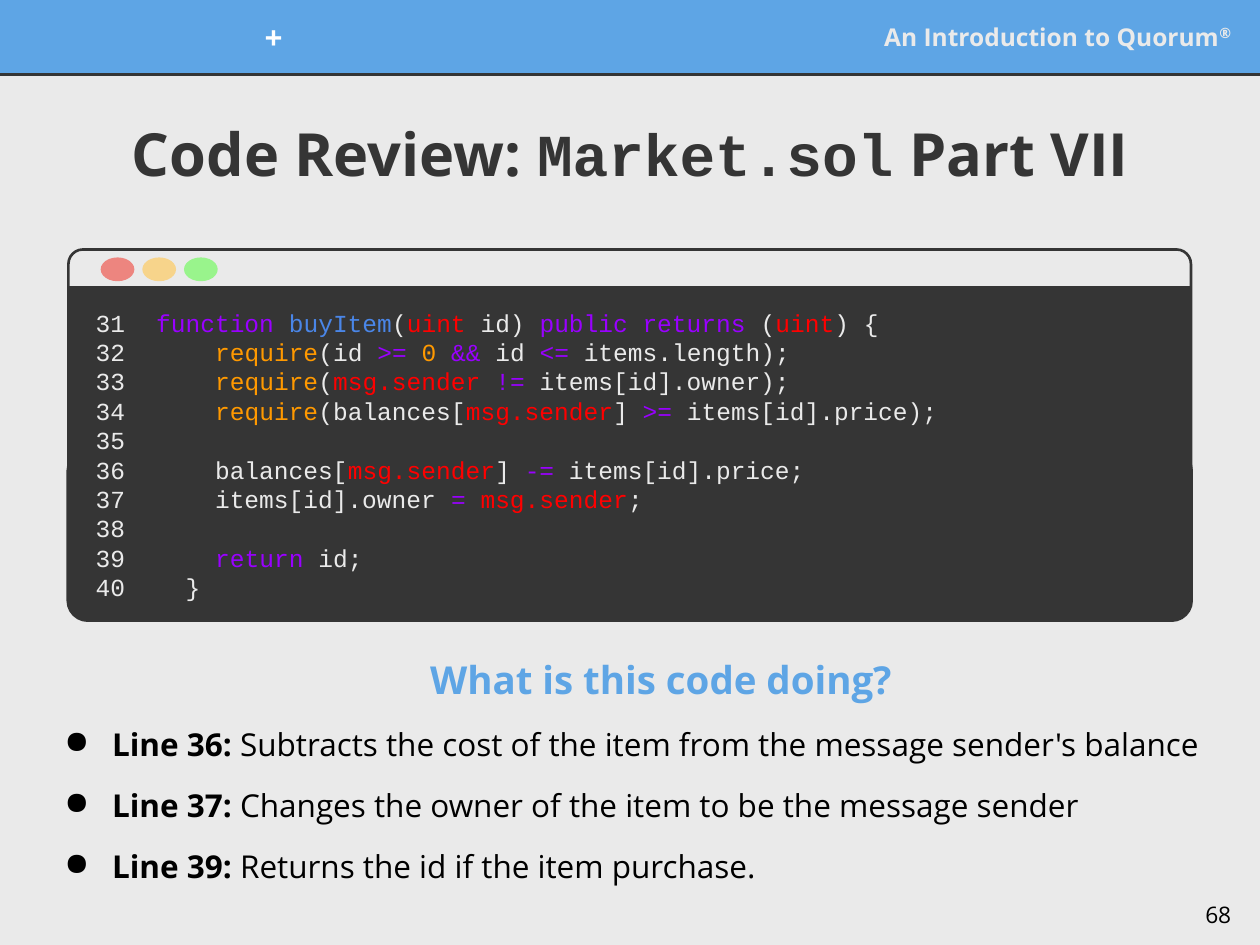
from dataclasses import dataclass

from lxml import etree
from pptx import Presentation
from pptx.dml.color import RGBColor
from pptx.enum.shapes import MSO_CONNECTOR, MSO_SHAPE
from pptx.enum.text import MSO_ANCHOR, PP_ALIGN
from pptx.oxml.ns import qn
from pptx.util import Cm, Pt

RECT, ROUNDED, OVAL = MSO_SHAPE.RECTANGLE, MSO_SHAPE.ROUNDED_RECTANGLE, MSO_SHAPE.OVAL
STRAIGHT = MSO_CONNECTOR.STRAIGHT
TOP, MIDDLE = MSO_ANCHOR.TOP, MSO_ANCHOR.MIDDLE
LEFT, CENTER, RIGHT = PP_ALIGN.LEFT, PP_ALIGN.CENTER, PP_ALIGN.RIGHT


@dataclass(frozen=True)
class Theme:
    paper: str = "EAEAEA"
    accent: str = "5EA5E5"
    dark: str = "353535"
    white: str = "FFFFFF"
    black: str = "000000"
    keyword: str = "9900FF"
    name: str = "4A86E8"
    kind: str = "FF0000"
    builtin: str = "FF9900"
    window_buttons: tuple = ("ED857F", "F7D48B", "99F48C")
    sans: str = "Open Sans"
    mono: str = "Courier New"
    title_size: int = 34
    heading_size: int = 22
    body_size: int = 18
    small_size: int = 14
    number_size: int = 13


THEME = Theme()
KEY, NAME, KIND, CALL = THEME.keyword, THEME.name, THEME.kind, THEME.builtin
FIRST_LINE = 31

# Each code line is a list of (text, colour); plain strings take the default colour
CODE = [
    [("function ", KEY), ("buyItem", NAME), "(", ("uint", KIND), " id) ",
     ("public returns", KEY), " (", ("uint", KIND), ") {"],
    ["    ", ("require", CALL), "(id ", (">= ", KEY), ("0", CALL), (" &&", KEY),
     " id ", ("<=", KEY), " items.length);"],
    ["    ", ("require", CALL), "(", ("msg.sender ", KIND), ("!=", KEY),
     " items[id].owner);"],
    ["    ", ("require", CALL), "(balances[", ("msg.sender", KIND), "] ",
     (">=", KEY), " items[id].price);"],
    [],
    ["    balances[", ("msg.sender", KIND), "] ", ("-=", KEY), " items[id].price;"],
    ["    items[id].owner ", ("= ", KEY), ("msg.sender", KIND), ";"],
    [],
    ["    ", ("return", KEY), " id;"],
    ["  }"],
]

EXPLANATIONS = [
    ("Line 36:", " Subtracts the cost of the item from the message sender's balance"),
    ("Line 37:", " Changes the owner of the item to be the message sender"),
    ("Line 39:", " Returns the id if the item purchase."),
]


class SlideBuilder:
    def __init__(self, slide, theme):
        self.slide, self.theme = slide, theme
        slide.background.fill.solid()
        slide.background.fill.fore_color.rgb = RGBColor.from_string(theme.paper)

    def shape(self, preset, box, fill=None, line=None, width=1.5, radius=None):
        item = self.slide.shapes.add_shape(preset, *map(Cm, box))
        item.shadow.inherit = False
        if radius is not None:
            item.adjustments[0] = radius
        if fill:
            item.fill.solid()
            item.fill.fore_color.rgb = RGBColor.from_string(fill)
        else:
            item.fill.background()
        if line:
            item.line.color.rgb = RGBColor.from_string(line)
            item.line.width = Pt(width)
        else:
            item.line.fill.background()

    def rule(self, start, end, colour, width):
        rule = self.slide.shapes.add_connector(STRAIGHT, *map(Cm, start + end))
        rule.line.color.rgb = RGBColor.from_string(colour)
        rule.line.width = Pt(width)
        etree.SubElement(rule._element.spPr, qn("a:effectLst"))

    def frame(self, box, anchor=TOP, inset=0.25):
        frame = self.slide.shapes.add_textbox(*map(Cm, box)).text_frame
        frame.word_wrap = True
        frame.vertical_anchor = anchor
        frame.margin_left = frame.margin_right = Cm(inset)
        frame.margin_top = frame.margin_bottom = Cm(inset)
        return frame

    def run(self, paragraph, text, size, colour, bold=False, face=None):
        run = paragraph.add_run()
        run.text = text
        run.font.name = face or self.theme.sans
        run.font.size = Pt(size)
        run.font.bold = bold
        run.font.color.rgb = RGBColor.from_string(colour)
        return run

    def label(self, box, text, size, colour, align, bold=True, anchor=MIDDLE):
        paragraph = self.frame(box, anchor).paragraphs[0]
        paragraph.alignment = align
        self.run(paragraph, text, size, colour, bold)
        return paragraph

    def code(self, box, lines):
        theme = self.theme
        frame = self.frame(box)
        for index, spans in enumerate(lines):
            paragraph = frame.add_paragraph() if index else frame.paragraphs[0]
            for span in spans:
                text, colour = (span, theme.paper) if isinstance(span, str) else span
                self.run(paragraph, text, theme.small_size, colour, face=theme.mono)
            if not spans:
                ending = etree.SubElement(paragraph._p, qn("a:endParaRPr"),
                                          sz=str(theme.small_size * 100))
                etree.SubElement(ending, qn("a:latin"), typeface=theme.mono)

    def explanation(self, box, heading, items):
        theme = self.theme
        frame = self.frame(box)
        question = frame.paragraphs[0]
        question.alignment = CENTER
        question.line_spacing = 1.15
        question._p.get_or_add_pPr().set("marL", str(Cm(1.27)))
        self.run(question, heading, theme.heading_size, theme.accent, True)
        for lead, detail in items:
            paragraph = frame.add_paragraph()
            paragraph.alignment = LEFT
            paragraph.line_spacing = 1.15
            paragraph.space_before = Pt(10)
            properties = paragraph._p.get_or_add_pPr()
            properties.set("marL", str(Cm(1.27)))
            properties.set("indent", str(Cm(-0.96)))
            bullet_colour = etree.SubElement(properties, qn("a:buClr"))
            etree.SubElement(bullet_colour, qn("a:srgbClr"), val=theme.black)
            etree.SubElement(properties, qn("a:buChar"), char="●")
            self.run(paragraph, lead, theme.body_size, theme.black, True)
            self.run(paragraph, detail, theme.body_size, theme.black)


def main():
    deck = Presentation()
    deck.slide_width, deck.slide_height = Cm(25.4), Cm(19.05)
    page = SlideBuilder(deck.slides.add_slide(deck.slide_layouts[6]), THEME)

    # Header band
    page.shape(RECT, (0, 0, 25.4, 1.5), THEME.accent, THEME.accent, 0.75)
    page.rule((0, 1.5), (25.4, 1.5), THEME.dark, 1.5)
    course = page.label((16.74, 0.25, 8.33, 0.97), "An Introduction to Quorum",
                        THEME.small_size, THEME.paper, RIGHT)
    mark = page.run(course, "®", THEME.small_size, THEME.paper, True)
    mark.font._element.set("baseline", "30000")
    page.label((5.03, 0.25, 0.97, 0.97), "+", THEME.body_size, THEME.white, CENTER)

    # Code window
    left, width = 1.38, 22.63
    page.shape(ROUNDED, (left, 5.03, width, 5.31), line=THEME.dark, radius=0.055)
    page.shape(RECT, (left, 5.77, width, 3.68), THEME.dark)
    page.shape(ROUNDED, (left, 9.1, width, 3.4), THEME.dark, THEME.dark, 2.25, 0.115)
    for index, colour in enumerate(THEME.window_buttons):
        page.shape(OVAL, (2.03 + 0.84 * index, 5.19, 0.68, 0.48), colour)

    # Code and line numbers
    page.code((2.9, 5.95, 20.88, 6.17), CODE)
    line_numbers = [[str(FIRST_LINE + index)] for index in range(len(CODE))]
    page.code((1.68, 5.95, 1.52, 6.17), line_numbers)

    # Page number
    page.label((23.55, 17.9, 1.52, 1.15), "68", THEME.number_size, THEME.black,
               RIGHT, bold=False, anchor=TOP)

    # Explanation
    page.explanation((0.74, 12.83, 23.9, 5.05), "What is this code doing?", EXPLANATIONS)

    # Title
    title = page.frame((0.69, 2.18, 24.03, 1.8), MIDDLE, 0.1).paragraphs[0]
    title.alignment = CENTER
    for text, face in (("Code Review: ", THEME.sans), ("Market.sol", THEME.mono),
                       (" Part VII", THEME.sans)):
        page.run(title, text, THEME.title_size, THEME.dark, True, face)

    deck.save("out.pptx")


if __name__ == "__main__":
    main()
